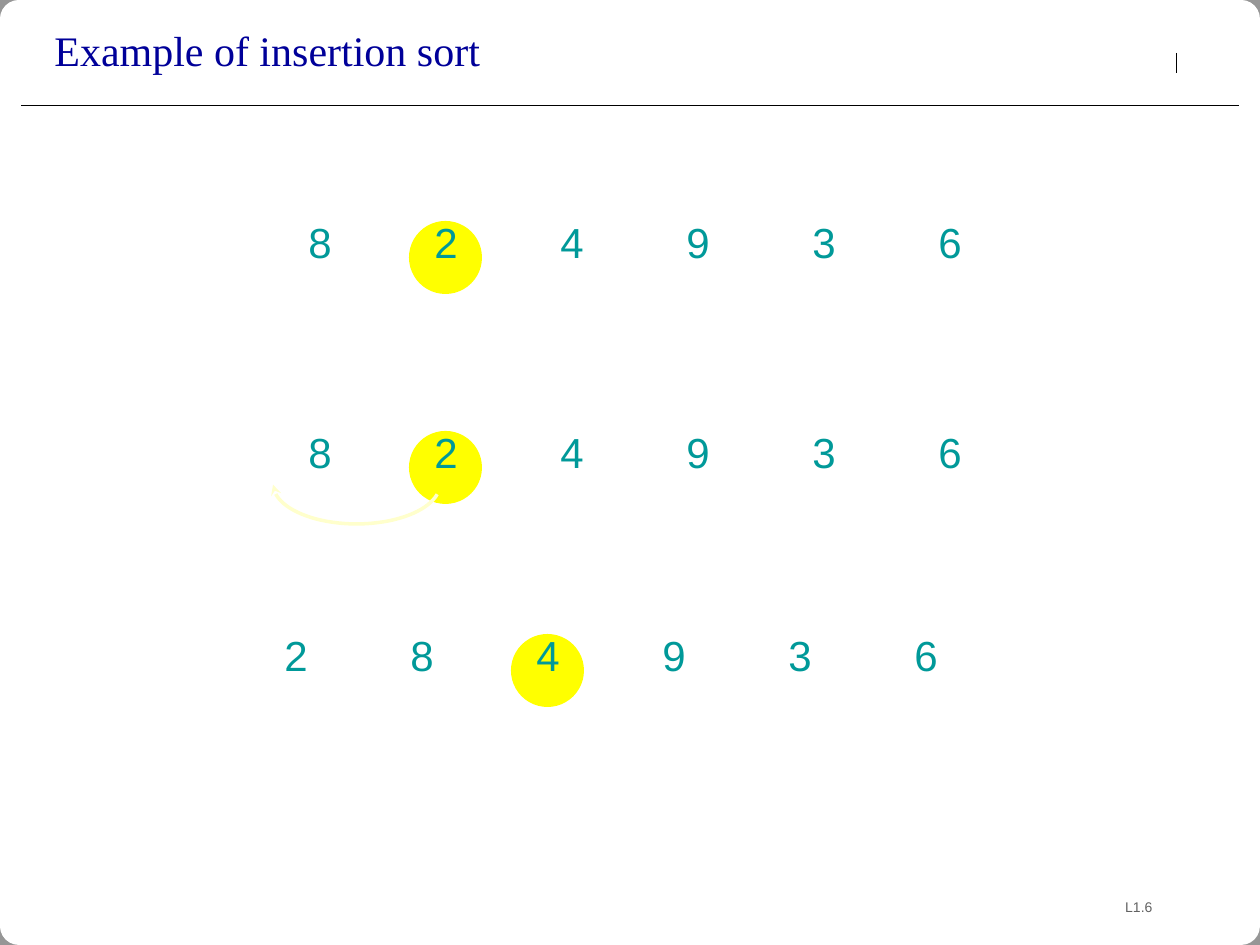
import math
from dataclasses import dataclass

from lxml import etree
from pptx import Presentation, util as u
from pptx.dml.color import RGBColor
from pptx.enum import shapes, text
from pptx.oxml.ns import qn

PX_PER_INCH = 126


@dataclass(frozen=True)
class Theme:
    backdrop: str = "969696"
    card: str = "FFFFFF"
    rule: str = "000000"
    title: str = "000099"
    number: str = "009999"
    footer: str = "626262"
    key: str = "FFFF00"
    move: str = "FFFFCC"
    serif: str = "Times New Roman"
    sans: str = "Arial"
    large: int = 24
    small: int = 8


THEME = Theme()


def px(length):
    return u.Emu(round(length * u.Inches(1) / PX_PER_INCH))


def color(value):
    return RGBColor.from_string(value)


def add_text(parent, box, wording, font, size, ink, wrap=True, align=text.PP_ALIGN.LEFT):
    shape = parent.add_textbox(*map(px, box))
    frame = shape.text_frame
    frame.word_wrap = wrap
    if not wrap:
        frame.auto_size = text.MSO_AUTO_SIZE.SHAPE_TO_FIT_TEXT
    paragraph = frame.paragraphs[0]
    paragraph.text = wording
    paragraph.alignment = align
    paragraph.font.name = font
    paragraph.font.size = u.Pt(size)
    paragraph.font.color.rgb = color(ink)


def add_filled(parent, kind, box, fill):
    shape = parent.add_shape(kind, *map(px, box))
    shape.shadow.inherit = False
    shape.fill.solid()
    shape.fill.fore_color.rgb = color(fill)
    shape.line.fill.background()
    return shape


def add_rule(parent, *ends):
    line = parent.add_connector(shapes.MSO_CONNECTOR.STRAIGHT, *map(px, ends))
    line.line.color.rgb = color(THEME.rule)
    line.line.width = u.Pt(0.25)
    etree.SubElement(line._element.spPr, qn("a:effectLst"))


def add_frame(slide, box):
    """Draw the rounded card, the rules, the title and the page number."""
    left, top, width, height = box
    slide.background.fill.solid()
    slide.background.fill.fore_color.rgb = color(THEME.backdrop)
    card = add_filled(slide.shapes, shapes.MSO_SHAPE.ROUNDED_RECTANGLE, box, THEME.card)
    card.adjustments[0] = 0.02
    right = left + width
    add_rule(slide.shapes, right - 21, top + 105, left + 21, top + 105)
    add_rule(slide.shapes, right - 84, top + 53, right - 84, top + 73)
    add_text(slide.shapes, (right - 357, top + height - 53, 262, 32), "L1.6",
             THEME.sans, THEME.small, THEME.footer, align=text.PP_ALIGN.RIGHT)
    add_text(slide.shapes, (left + 42, top + 18, 1040, 158), "Example of insertion sort",
             THEME.serif, THEME.large, THEME.title)


def add_number_row(parent, box, numbers, key_column):
    """Spread the numbers evenly over the box, with a disc behind the key."""
    left, top, width, height = box
    step = width / len(numbers)
    disc = 73
    add_filled(parent, shapes.MSO_SHAPE.OVAL,
               (left + key_column * step - 13, top + 11, disc, disc), THEME.key)
    for column, number in enumerate(numbers):
        add_text(parent, (left + column * step, top, 47, height), str(number),
                 THEME.sans, THEME.large, THEME.number, wrap=False)


def add_move_arrow(parent, box):
    """Draw an arc under the row, from the key back to its new place."""
    left, top, width, height = box
    radius = width / 2
    points = []
    for degrees in range(15, 180, 4):
        angle = math.radians(degrees)
        points.append((px(left + radius * (1 + math.cos(angle))),
                       px(top + height * math.sin(angle))))
    builder = parent.build_freeform(*points[0])
    builder.add_line_segments(points[1:], close=False)
    arc = builder.convert_to_shape()
    arc.shadow.inherit = False
    arc.fill.background()
    arc.line.color.rgb = color(THEME.move)
    arc.line.width = u.Pt(2)
    etree.SubElement(arc.line._get_or_add_ln(), qn("a:tailEnd"), type="stealth")


def main():
    presentation = Presentation()
    presentation.slide_width, presentation.slide_height = px(1260), px(945)
    slide = presentation.slides.add_slide(presentation.slide_layouts[6])
    add_frame(slide, (0, 0, 1260, 945))

    row_width, row_height = 756, 63
    start = (8, 2, 4, 9, 3, 6)
    add_number_row(slide.shapes, (296, 210, row_width, row_height), start, 1)
    move = slide.shapes.add_group_shape().shapes
    add_number_row(move, (296, 420, row_width, row_height), start, 1)
    add_move_arrow(move, (273, 484, 167, 40))
    add_number_row(slide.shapes, (272, 623, row_width, row_height), (2, 8, 4, 9, 3, 6), 2)

    presentation.save("out.pptx")


if __name__ == "__main__":
    main()
